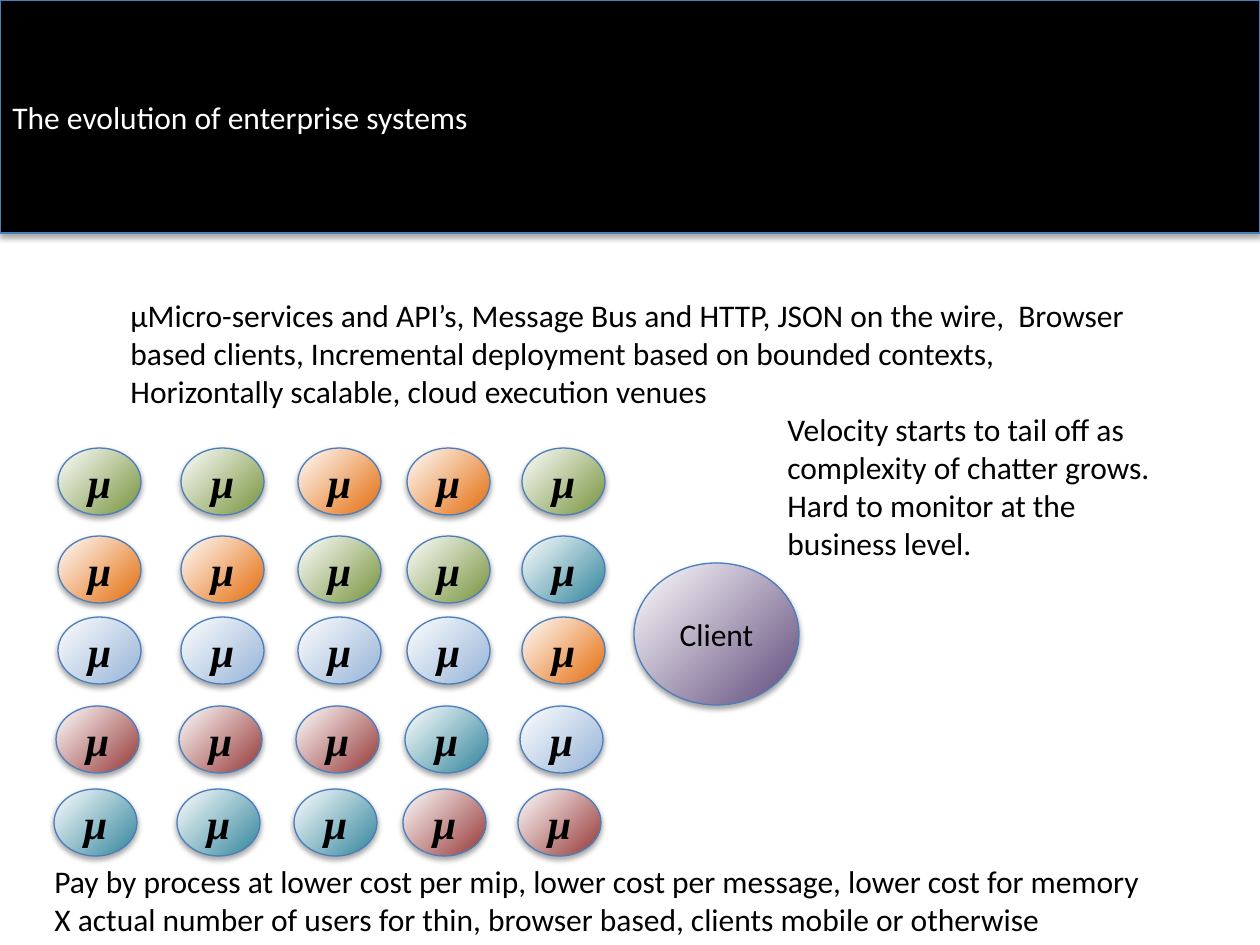
"""Build the slide on the evolution of enterprise systems."""
from lxml import etree
from pptx import Presentation
from pptx import util as u
from pptx.dml.color import RGBColor
from pptx.enum import shapes, text
from pptx.oxml import parse_xml
from pptx.oxml.ns import nsdecls, qn

PX = 914400 / 126
COLORS = {
    "black": "000000", "white": "FFFFFF", "outline": "4B7EBC",
    "green": "77933C", "orange": "E46C0A", "blue": "95B3D7",
    "red": "953735", "teal": "31859C", "purple": "604A7B",
}
SHADOW = (
    f'<a:outerShdw {nsdecls("a")} blurRad="40000" dist="23000" dir="5400000" rotWithShape="0">'
    '<a:srgbClr val="000000"><a:alpha val="35000"/></a:srgbClr></a:outerShdw>'
)


def write(shape, lines, size=18, font="Calibri", color="black", align=None):
    frame = shape.text_frame
    frame.text = "\n".join(lines)
    for paragraph in frame.paragraphs:
        paragraph.alignment = align
        for run in paragraph.runs:
            run.font.size = u.Pt(size)
            run.font.name = font
            run.font.color.rgb = RGBColor.from_string(COLORS[color])
    return frame


def add_raised(kind, box, color, shaded=True):
    shape = slide.shapes.add_shape(kind, *(round(n * PX) for n in box))
    if shaded:
        shape.fill.gradient()
        for stop, name in zip(shape.fill.gradient_stops, (color, "white")):
            stop.color.rgb = RGBColor.from_string(COLORS[name])
        linear = shape._element.spPr.find(qn("a:gradFill")).find(qn("a:lin"))
        circle = etree.Element(qn("a:path"), path="circle")
        etree.SubElement(circle, qn("a:fillToRect"), l="100000", t="100000")
        linear.getparent().replace(linear, circle)
    else:
        shape.fill.solid()
        shape.fill.fore_color.rgb = RGBColor.from_string(COLORS[color])
    shape.line.color.rgb = RGBColor.from_string(COLORS["outline"])
    shape.line.width = u.Pt(0.75)
    shape.shadow.inherit = False
    shape._element.spPr.find(qn("a:effectLst")).append(parse_xml(SHADOW))
    shape.text_frame.vertical_anchor = text.MSO_ANCHOR.MIDDLE
    return shape


deck = Presentation()
deck.slide_width, deck.slide_height = round(1260 * PX), round(945 * PX)
slide = deck.slides.add_slide(deck.slide_layouts[6])

banner = add_raised(shapes.MSO_SHAPE.RECTANGLE, (0, 0, 1260, 233), "black", shaded=False)
write(banner, ["The evolution of enterprise systems"], color="white", align=text.PP_ALIGN.LEFT)

client = add_raised(shapes.MSO_SHAPE.OVAL, (634, 563, 165, 142), "purple")
write(client, ["Client"], align=text.PP_ALIGN.CENTER)

service_columns = [58, 181, 298, 407, 522]
service_rows = [
    (448, 0, ["green", "green", "orange", "orange", "green"]),
    (536, 0, ["orange", "orange", "green", "green", "teal"]),
    (617, 0, ["blue", "blue", "blue", "blue", "orange"]),
    (706, -2, ["red", "red", "red", "teal", "blue"]),
    (789, -4, ["teal", "teal", "teal", "red", "red"]),
]
for top, shift, row_colors in service_rows:
    for left, color in zip(service_columns, row_colors):
        service = add_raised(shapes.MSO_SHAPE.OVAL, (left + shift, top, 83, 67), color)
        frame = write(service, ["μ"], 24, "Times New Roman", align=text.PP_ALIGN.CENTER)
        symbol = frame.paragraphs[0].runs[0].font
        symbol.bold = symbol.italic = True

remarks = [
    ((118, 290, 1062, 127), True, [
        "μMicro-services and API’s, Message Bus and HTTP, JSON on the wire,  Browser based clients, "
        "Incremental deployment based on bounded contexts,",
        "Horizontally scalable, cloud execution venues"]),
    ((42, 856, 1128, 89), False, [
        "Pay by process at lower cost per mip, lower cost per message, lower cost for memory",
        "X actual number of users for thin, browser based, clients mobile or otherwise"]),
    ((775, 404, 406, 165), True, [
        "Velocity starts to tail off as complexity of chatter grows.",
        "Hard to monitor at the business level."]),
]
for box, wraps, lines in remarks:
    remark = slide.shapes.add_textbox(*(round(n * PX) for n in box))
    frame = write(remark, lines)
    frame.word_wrap = wraps
    frame.auto_size = text.MSO_AUTO_SIZE.SHAPE_TO_FIT_TEXT

deck.save("out.pptx")
